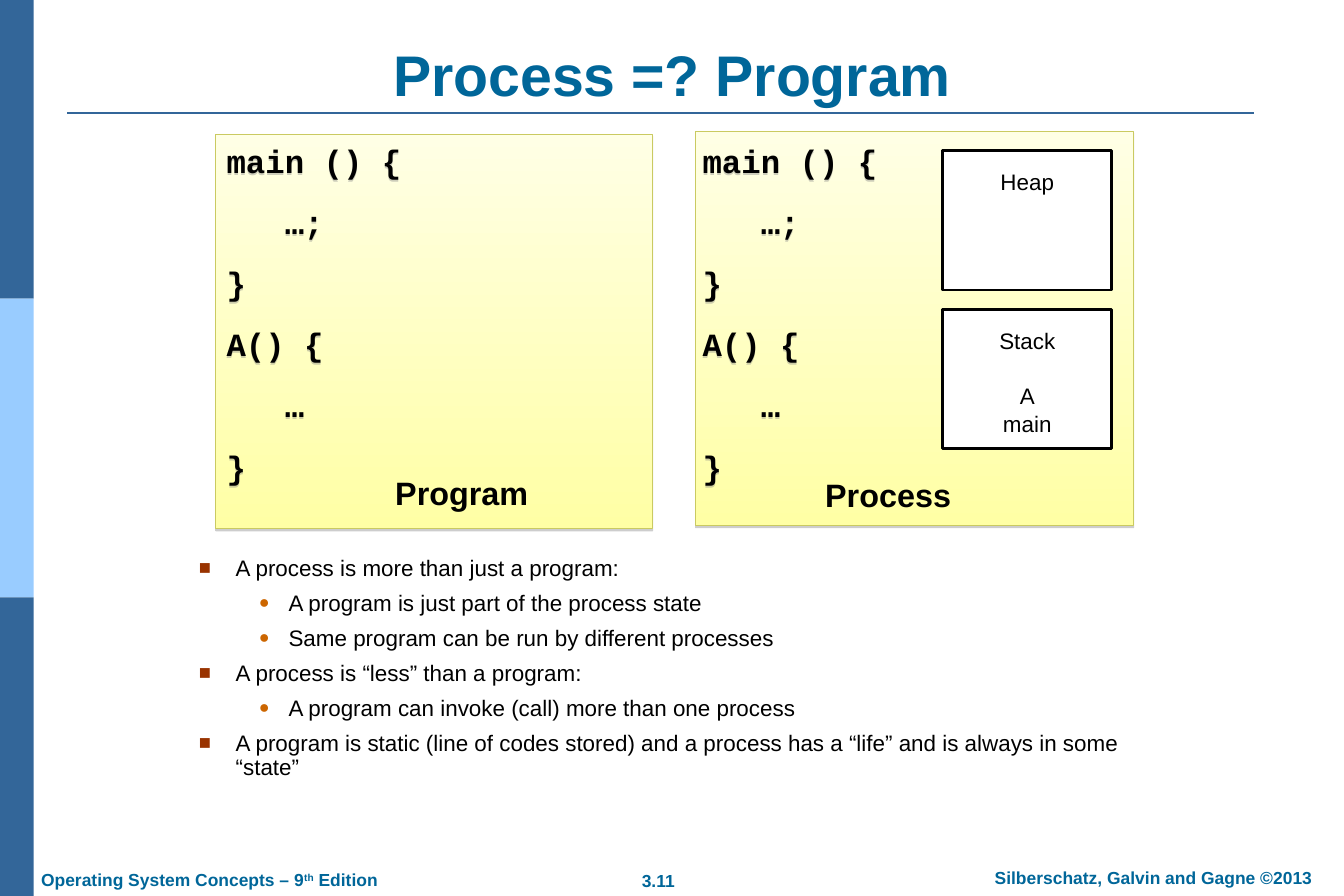
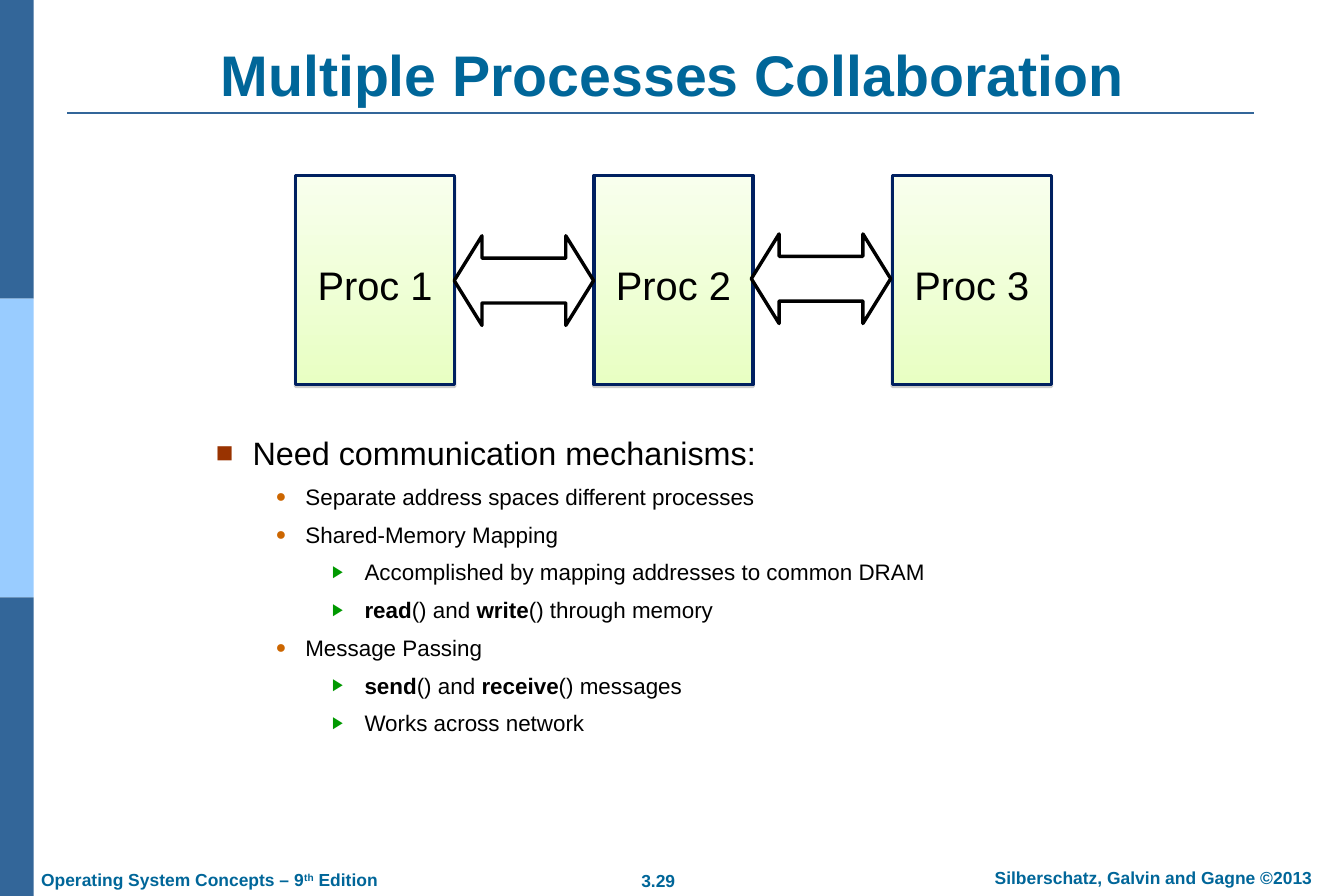
from lxml.etree import SubElement
from pptx import Presentation
from pptx.dml.color import RGBColor
from pptx.enum.shapes import MSO_CONNECTOR, MSO_SHAPE
from pptx.enum.text import MSO_ANCHOR, MSO_AUTO_SIZE, PP_ALIGN
from pptx.oxml.ns import qn
from pptx.util import Pt

WIDTH, HEIGHT = 1080, 720
TITLE_BLUE, BAND_BLUE, PALE_BLUE = "006699", "336699", "99CCFF"
BLACK, WHITE = "000000", "FFFFFF"
# Per level: character, colour, size in percent, left margin, hanging indent
BULLETS = [
    ("■", "993300", 90, 29.5, 29.5),
    ("●", "CC6600", 80, 72, 23.8),
    ("▶", "009900", 75, 119.5, 26),
]
CODE = ["main () {", "   …;", "}", "A() {", "   …", "}"]


def color(value):
    return RGBColor.from_string(value)


def add_run(paragraph, text, size, text_color=BLACK, bold=False, font="Arial"):
    run = paragraph.add_run()
    run.text = text
    run.font.name = font
    run.font.size = Pt(size)
    run.font.bold = bold
    run.font.color.rgb = color(text_color)
    return run


def set_frame(shape, insets, wrap=True, anchor=MSO_ANCHOR.TOP):
    """Format the text frame; insets are (horizontal, vertical)."""
    frame = shape.text_frame
    frame.auto_size = MSO_AUTO_SIZE.NONE
    frame.word_wrap = wrap
    frame.vertical_anchor = anchor
    frame.margin_left = frame.margin_right = Pt(insets[0])
    frame.margin_top = frame.margin_bottom = Pt(insets[1])
    return frame


def next_paragraph(frame, index):
    return frame.add_paragraph() if index else frame.paragraphs[0]


def add_text_box(slide, box, insets=(7.2, 3.6), wrap=True):
    shape = slide.shapes.add_textbox(*map(Pt, box))
    set_frame(shape, insets, wrap)
    return shape


def add_box(slide, box, fill, line=None, line_width=0, kind=MSO_SHAPE.RECTANGLE):
    """Add a preset shape; a pair of fill colours gives a vertical gradient."""
    shape = slide.shapes.add_shape(kind, *map(Pt, box))
    if isinstance(fill, tuple):
        shape.fill.gradient()
        shape.fill.gradient_angle = 270
        for stop, stop_color in zip(shape.fill.gradient_stops, fill):
            stop.color.rgb = color(stop_color)
    else:
        shape.fill.solid()
        shape.fill.fore_color.rgb = color(fill)
    if line:
        shape.line.color.rgb = color(line)
        shape.line.width = Pt(line_width)
    else:
        shape.line.fill.background()
    shape.shadow.inherit = False
    return shape


def add_soft_shadow(shape):
    shape.shadow.inherit = False
    effects = shape.element.spPr.find(qn("a:effectLst"))
    shadow = SubElement(effects, qn("a:outerShdw"), dist=str(Pt(1.6)),
                        dir="5400000", rotWithShape="0")
    shade = SubElement(shadow, qn("a:srgbClr"), val="808080")
    SubElement(shade, qn("a:alpha"), val="38000")


def add_footer(slide, box, parts, align, wrap=False):
    """Parts are (text, raised) pairs."""
    shape = add_text_box(slide, box, (10, 5), wrap)
    paragraph = shape.text_frame.paragraphs[0]
    paragraph.alignment = align
    for text, raised in parts:
        run = add_run(paragraph, text, 14, TITLE_BLUE, True)
        if raised:
            run.font._element.set("baseline", "30000")


def add_slide(presentation, title, number):
    """Add a slide with the shared bands, rule, title and footers."""
    slide = presentation.slides.add_slide(presentation.slide_layouts[5])
    band_height = HEIGHT / 3
    for index, fill in enumerate([BAND_BLUE, PALE_BLUE, BAND_BLUE]):
        add_box(slide, (0, index * band_height, 27, band_height), fill)

    rule = slide.shapes.add_connector(MSO_CONNECTOR.STRAIGHT, Pt(54), Pt(90.5),
                                      Pt(1008), Pt(90.5))
    rule.line.color.rgb = color(BAND_BLUE)
    rule.line.width = Pt(1.5)
    SubElement(rule.element.spPr, qn("a:effectLst"))

    heading = slide.shapes.title
    heading.left, heading.top, heading.width, heading.height = map(
        Pt, (54, 29, 972, 60.5))
    paragraph = set_frame(heading, (9.4, 4.3), anchor=MSO_ANCHOR.MIDDLE).paragraphs[0]
    paragraph.alignment = PP_ALIGN.CENTER
    add_run(paragraph, title, 46, TITLE_BLUE, True)

    add_footer(slide, (479, 694, 100, 27.4), [(number, False)], PP_ALIGN.CENTER)
    add_footer(slide, (767, 692, 320, 27.4),
               [("Silberschatz, Galvin and Gagne ©2013", False)],
               PP_ALIGN.CENTER, wrap=True)
    add_footer(slide, (23, 693.5, 292, 27.4),
               [("Operating System Concepts – 9", False), ("th", True),
                (" Edition", False)], PP_ALIGN.LEFT)
    return slide


def add_bullet(paragraph, level):
    character, bullet_color, percent, margin, hanging = BULLETS[level]
    paragraph.level = level
    properties = paragraph._p.get_or_add_pPr()
    properties.set("marL", str(Pt(margin)))
    properties.set("indent", str(-Pt(hanging)))
    SubElement(SubElement(properties, qn("a:buClr")), qn("a:srgbClr"), val=bullet_color)
    SubElement(properties, qn("a:buSzPct"), val=str(percent * 1000))
    SubElement(properties, qn("a:buFont"), typeface="Arial")
    SubElement(properties, qn("a:buChar"), char=character)


def add_bullet_list(slide, box, items, line_spacing=1.0):
    """Items are (level, size, runs); every second run is bold, from the second on."""
    frame = add_text_box(slide, box, (9.4, 4.3)).text_frame
    for index, (level, size, runs) in enumerate(items):
        paragraph = next_paragraph(frame, index)
        add_bullet(paragraph, level)
        paragraph.line_spacing = line_spacing
        if index:
            paragraph.space_before = Pt(8.7)
        for position, text in enumerate(runs):
            if text:
                add_run(paragraph, text, size, bold=position % 2 == 1)


def add_code_panel(slide, box, caption, code_offset, caption_offset):
    left, top, width, height = box
    add_soft_shadow(add_box(slide, box, ("FFFFE5", "FFFFA5"), "CACA61", 0.75))

    code_box = (left + code_offset[0], top + code_offset[1], 160, 276)
    code = add_text_box(slide, code_box)
    add_soft_shadow(code)
    for index, line in enumerate(CODE):
        paragraph = next_paragraph(code.text_frame, index)
        if index:
            paragraph.space_before = Pt(18)
        add_run(paragraph, line, 26, bold=True, font="Courier New")

    caption_box = (left + caption_offset[0], top + caption_offset[1], 134, 39)
    label = add_text_box(slide, caption_box, wrap=False)
    add_run(label.text_frame.paragraphs[0], caption, 26, bold=True)


def add_memory_box(slide, box, lines):
    """Lines are (text, space before) pairs."""
    shape = add_box(slide, box, WHITE, BLACK, 2.25)
    frame = set_frame(shape, (7.2, 14), wrap=False)
    for index, (text, space) in enumerate(lines):
        paragraph = next_paragraph(frame, index)
        paragraph.alignment = PP_ALIGN.CENTER
        if space:
            paragraph.space_before = Pt(space)
        add_run(paragraph, text, 18)


def add_process_row(slide, left, top):
    width, height, pitch = 128, 168, 239.75
    for index in range(3):
        box = (left + index * pitch, top, width, height)
        process = add_box(slide, box, ("F8FFED", "E8FFC3"), "002060", 2.75)
        add_soft_shadow(process)
        frame = set_frame(process, (9.4, 5), wrap=False, anchor=MSO_ANCHOR.MIDDLE)
        paragraph = frame.paragraphs[0]
        paragraph.alignment = PP_ALIGN.CENTER
        paragraph.line_spacing = 1.2
        add_run(paragraph, f"Proc {index + 1}", 32)
    for index, drop in enumerate([48.5, 47]):
        box = (left + width - 0.5 + index * (pitch - 1), top + drop, 112, 72)
        arrow = add_box(slide, box, WHITE, BLACK, 2.75, MSO_SHAPE.LEFT_RIGHT_ARROW)
        arrow.adjustments[0] = 0.5
        arrow.adjustments[1] = 0.31


def build_program_slide(presentation):
    slide = add_slide(presentation, "Process =? Program", "3.11")
    add_bullet_list(slide, (150.5, 443, 789, 237), [
        (0, 18, ["A process is more than just a program:"]),
        (1, 18, ["A program is just part of the process state"]),
        (1, 18, ["Same program can be run by different processes"]),
        (0, 18, ["A process is “less” than a program:"]),
        (1, 18, ["A program can invoke (call) more than one process"]),
        (0, 18, ["A program is static (line of codes stored) and a process has "
                 "a “life” and is always in some “state”"]),
    ], line_spacing=0.9)
    add_code_panel(slide, (173.5, 108, 351, 317), "Program", (1.5, 1.5), (137, 268.5))
    add_code_panel(slide, (559, 105.5, 352, 317), "Process", (-1.5, 4), (97, 273))
    memory = [
        [("Heap", 0)],
        [("Stack", 0), ("A", 22.7), ("main", 1)],
    ]
    for index, lines in enumerate(memory):
        add_memory_box(slide, (757.5, 121 + index * 127.5, 136, 112), lines)


def build_collaboration_slide(presentation):
    slide = add_slide(presentation, "Multiple Processes Collaboration", "3.29")
    add_bullet_list(slide, (164, 344, 784, 277), [
        (0, 26, ["Need communication mechanisms:"]),
        (1, 18, ["Separate address spaces different processes"]),
        (1, 18, ["Shared-Memory Mapping"]),
        (2, 18, ["Accomplished by mapping addresses to common DRAM"]),
        (2, 18, ["", "read", "() and ", "write", "() through memory"]),
        (1, 18, ["Message Passing"]),
        (2, 18, ["", "send", "() and ", "receive", "() messages"]),
        (2, 18, ["Works across network"]),
    ])
    add_process_row(slide, 237.5, 141)


def main():
    presentation = Presentation()
    presentation.slide_width = Pt(WIDTH)
    presentation.slide_height = Pt(HEIGHT)
    build_program_slide(presentation)
    build_collaboration_slide(presentation)
    presentation.save("out.pptx")


if __name__ == "__main__":
    main()
